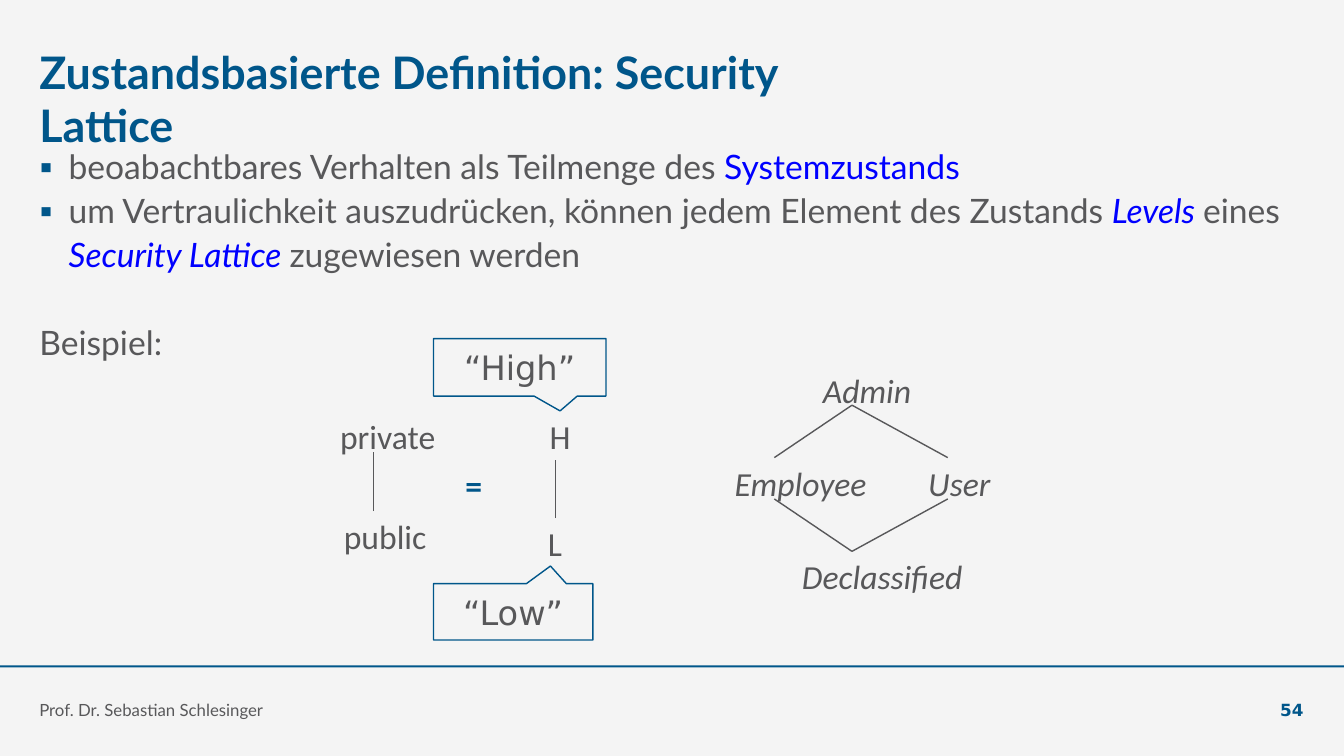
import pptx
import pptx.util
import pptx.dml.color
import pptx.enum.shapes
import pptx.enum.text
import pptx.oxml
import pptx.oxml.ns

HUES = {"back": "F4F4F4", "blue": "00568A", "grey": "58585A", "mark": "0000FF"}
TITLE = "Zustandsbasierte Definition: Security Lattice"
LIST = [
    [("beoabachtbares Verhalten als Teilmenge des ", "grey", False),
     ("Systemzustands", "mark", False)],
    [("um Vertraulichkeit auszudrücken, können jedem Element des Zustands ", "grey", False),
     ("Levels ", "mark", True),
     ("eines ", "grey", False),
     ("Security Lattice ", "mark", True),
     ("zugewiesen werden", "grey", False)],
    [("Beispiel:", "grey", False)],
]
FOOT = [
    ("Prof. Dr. Sebastian Schlesinger", 39, 920, "Lato", "grey", False, "LEFT"),
    ("54", 1203, 90, "DejaVu Sans", "blue", True, "RIGHT"),
]
NODES = [
    ("private", 324, 408, 121, "grey", False, False),
    ("public", 328, 507, 108, "grey", False, False),
    ("H", 533, 408, 45, "grey", False, False),
    ("L", 531, 514, 39, "grey", False, False),
    ("=", 450, 456, 40, "blue", True, False),
    ("Admin", 802, 362, 116, "grey", False, True),
    ("User", 906, 454, 91, "grey", False, True),
    ("Employee", 709, 454, 170, "grey", False, True),
    ("Declassified", 774, 547, 202, "grey", False, True),
]
CALLS = [
    ("“High”", 336, 171, 57, 0.758),
    ("“Low”", 579, 158, 56, -0.812),
]
EDGES = [
    (370, 507, 370, 448, 0.75),
    (551, 514, 551, 456, 0.75),
    (768, 454, 845, 402, 1),
    (940, 454, 845, 402, 1),
    (845, 547, 768, 495, 1),
    (845, 547, 940, 495, 1),
]
SCALE = 9144
ALIGN = pptx.enum.text.PP_ALIGN
ANCHOR = pptx.enum.text.MSO_ANCHOR
FIT = pptx.enum.text.MSO_AUTO_SIZE
SHAPE = pptx.enum.shapes.MSO_SHAPE


def emu(*sizes):
    return [size * SCALE for size in sizes]


def hue(name):
    return pptx.dml.color.RGBColor.from_string(HUES[name])


def style(para, face, size, tone, bold=False, slant=False):
    font = para.font
    font.name, font.size = face, pptx.util.Pt(size)
    font.bold, font.italic = bold, slant
    font.color.rgb = hue(tone)


def place(shape, *box):
    shape.left, shape.top, shape.width, shape.height = emu(*box)


def trim(frame):
    frame.margin_left = frame.margin_right = 0
    frame.margin_top = frame.margin_bottom = 0
    frame.word_wrap = True
    frame.auto_size = FIT.NONE


def append(node, tag, **attrs):
    item = pptx.oxml.parse_xml(f"<{tag} {pptx.oxml.ns.nsdecls('a')}/>")
    for key, value in attrs.items():
        item.set(key, value)
    node.append(item)
    return item


def bullet(para, shown):
    props = para._p.get_or_add_pPr()
    dent = 29 * SCALE if shown else 0
    props.set("marL", str(dent))
    props.set("indent", str(-dent))
    if shown:
        append(append(props, "a:buClr"), "a:srgbClr", val=HUES["blue"])
        append(props, "a:buFont", typeface="Lato")
        append(props, "a:buChar", char="▪")
    else:
        append(props, "a:buNone")


def add_bar(slide):
    bar = slide.shapes.add_shape(SHAPE.RECTANGLE, *emu(0, 660, 1333, 2))
    bar.shadow.inherit = False
    bar.fill.solid()
    bar.fill.fore_color.rgb = hue("blue")
    bar.line.fill.background()


def add_title(slide):
    title = slide.shapes.title
    place(title, 39, 44, 833, 63)
    frame = title.text_frame
    trim(frame)
    frame.vertical_anchor = ANCHOR.TOP
    frame.text = TITLE
    para = frame.paragraphs[0]
    para.alignment = ALIGN.LEFT
    style(para, "Lato", 32, "blue", True)


def add_list(slide):
    body = slide.placeholders[1]
    place(body, 39, 142, 1255, 486)
    frame = body.text_frame
    trim(frame)
    last = len(LIST) - 1
    for rank, parts in enumerate(LIST):
        para = frame.add_paragraph() if rank else frame.paragraphs[0]
        bullet(para, rank < last)
        para.line_spacing = 1.08
        gap = 0 if rank == 0 else 31.6 if rank == last else 0.2
        para.space_before = pptx.util.Pt(gap)
        style(para, "Lato", 24, "grey")
        for text, tone, slant in parts:
            run = para.add_run()
            run.text = text
            if tone != "grey":
                run.font.color.rgb = hue(tone)
            if slant:
                run.font.italic = True


def add_foot(slide):
    for text, left, width, face, tone, bold, side in FOOT:
        frame = slide.shapes.add_textbox(*emu(left, 675, width, 39)).text_frame
        trim(frame)
        frame.vertical_anchor = ANCHOR.BOTTOM
        frame.text = text
        para = frame.paragraphs[0]
        para.alignment = ALIGN[side]
        style(para, face, 12, tone, bold)


def add_nodes(slide):
    for text, left, top, width, tone, bold, slant in NODES:
        frame = slide.shapes.add_textbox(*emu(left, top, width, 50)).text_frame
        frame.word_wrap = False
        frame.auto_size = FIT.SHAPE_TO_FIT_TEXT
        frame.text = text
        para = frame.paragraphs[0]
        para.alignment = ALIGN.CENTER
        style(para, "Calibri", 24, tone, bold, slant)


def add_calls(slide):
    for text, top, width, height, tip in CALLS:
        call = slide.shapes.add_shape(
            SHAPE.RECTANGULAR_CALLOUT, *emu(430, top, width, height))
        call.shadow.inherit = False
        call.adjustments[0], call.adjustments[1] = 0.234, tip
        call.fill.solid()
        call.fill.fore_color.rgb = hue("back")
        call.line.color.rgb = hue("blue")
        call.line.width = pptx.util.Pt(1)
        frame = call.text_frame
        frame.vertical_anchor = ANCHOR.MIDDLE
        frame.text = text
        para = frame.paragraphs[0]
        para.alignment = ALIGN.CENTER
        style(para, "DejaVu Sans", 24, "grey")


def add_edges(slide):
    for *ends, width in EDGES:
        edge = slide.shapes.add_connector(
            pptx.enum.shapes.MSO_CONNECTOR.STRAIGHT, *emu(*ends))
        edge.line.color.rgb = hue("grey")
        edge.line.width = pptx.util.Pt(width)
        append(edge._element.spPr, "a:effectLst")


def main():
    deck = pptx.Presentation()
    deck.slide_width, deck.slide_height = emu(1333, 750)
    slide = deck.slides.add_slide(deck.slide_layouts[1])
    slide.background.fill.solid()
    slide.background.fill.fore_color.rgb = hue("back")
    for step in (add_bar, add_title, add_list, add_foot, add_nodes, add_calls, add_edges):
        step(slide)
    deck.save("out.pptx")


if __name__ == "__main__":
    main()
